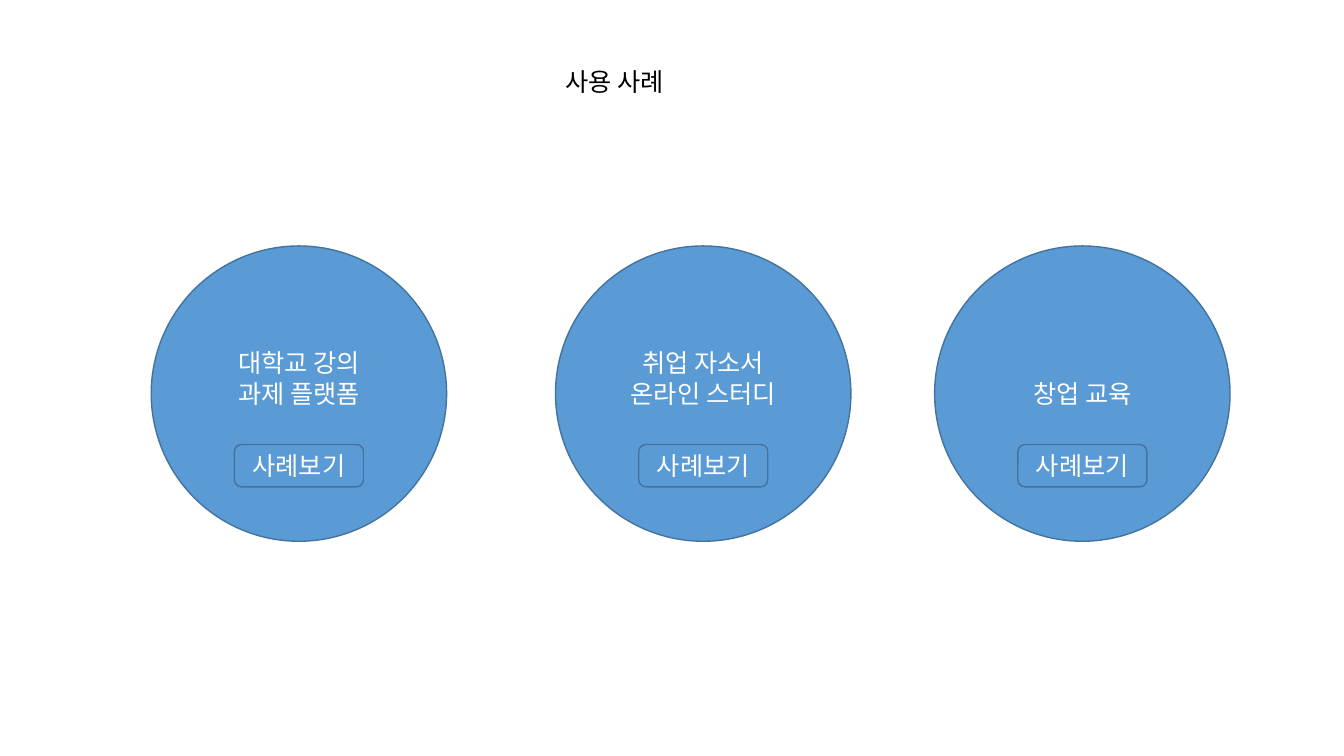
from lxml.etree import SubElement
from pptx import Presentation
from pptx.dml.color import RGBColor
from pptx.enum.shapes import MSO_SHAPE as Shape
from pptx.enum.text import MSO_ANCHOR as Anchor, MSO_AUTO_SIZE as AutoSize, PP_ALIGN as Align
from pptx.oxml.ns import qn
from pptx.util import Inches, Pt

COLORS = {"circle": "5B9BD5", "outline": "43739E", "heading": "000000", "label": "FFFFFF"}
FONT = "Noto Sans CJK KR"


def write(frame, lines, color, align, anchor):
    frame.text = "\n".join(lines)
    frame.word_wrap = True
    frame.vertical_anchor = anchor
    for paragraph in frame.paragraphs:
        paragraph.alignment = align
        paragraph.font.size = Pt(18)
        paragraph.font.name = FONT
        paragraph.font.color.rgb = RGBColor.from_string(COLORS[color])
        defaults = paragraph._p.pPr.find(qn("a:defRPr"))
        SubElement(defaults, qn("a:ea"), typeface=FONT)


def add_label(kind, left, top, width, height, lines):
    label = slide.shapes.add_shape(kind, Inches(left), Inches(top), Inches(width), Inches(height))
    label.shadow.inherit = False
    label.fill.solid()
    label.fill.fore_color.rgb = RGBColor.from_string(COLORS["circle"])
    label.line.color.rgb = RGBColor.from_string(COLORS["outline"])
    label.line.width = Pt(1)
    write(label.text_frame, lines, "label", Align.CENTER, Anchor.MIDDLE)
    return label


deck = Presentation()
deck.slide_width, deck.slide_height = Inches(13.33), Inches(7.5)
slide = deck.slides.add_slide(deck.slide_layouts[5])

heading = slide.shapes.title
heading.left, heading.top = Inches(5.51), Inches(0.61)
heading.width, heading.height = Inches(1.3), Inches(0.4)
write(heading.text_frame, ["사용 사례"], "heading", Align.LEFT, Anchor.TOP)
heading.text_frame.auto_size = AutoSize.SHAPE_TO_FIT_TEXT

diameter, circle_top = 2.93, 2.44
button_width, button_height, button_top = 1.28, 0.42, 4.41
line_height = 0.31

use_cases = [
    (1.5, ["대학교 강의", "과제 플랫폼"]),
    (5.51, ["취업 자소서", "온라인 스터디"]),
    (9.27, ["창업 교육"]),
]

for left, topic in use_cases:
    circle = add_label(Shape.OVAL, left, circle_top, diameter, diameter, topic)
    circle.text_frame.margin_bottom = Inches(0.05 + line_height * (len(topic) - 1))
    button_left = left + (diameter - button_width) / 2
    add_label(Shape.ROUNDED_RECTANGLE, button_left, button_top, button_width, button_height, ["사례보기"])

deck.save("out.pptx")
